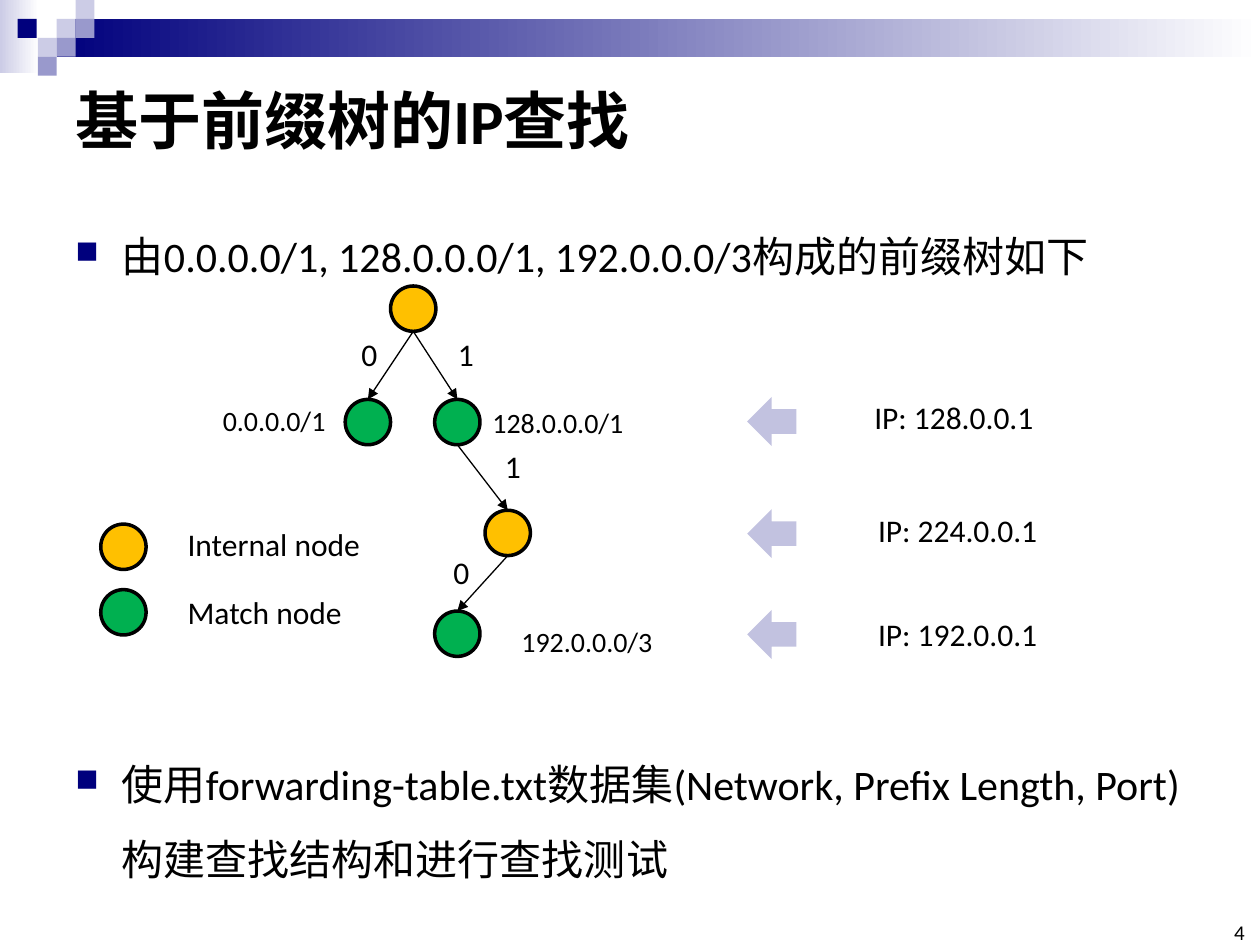
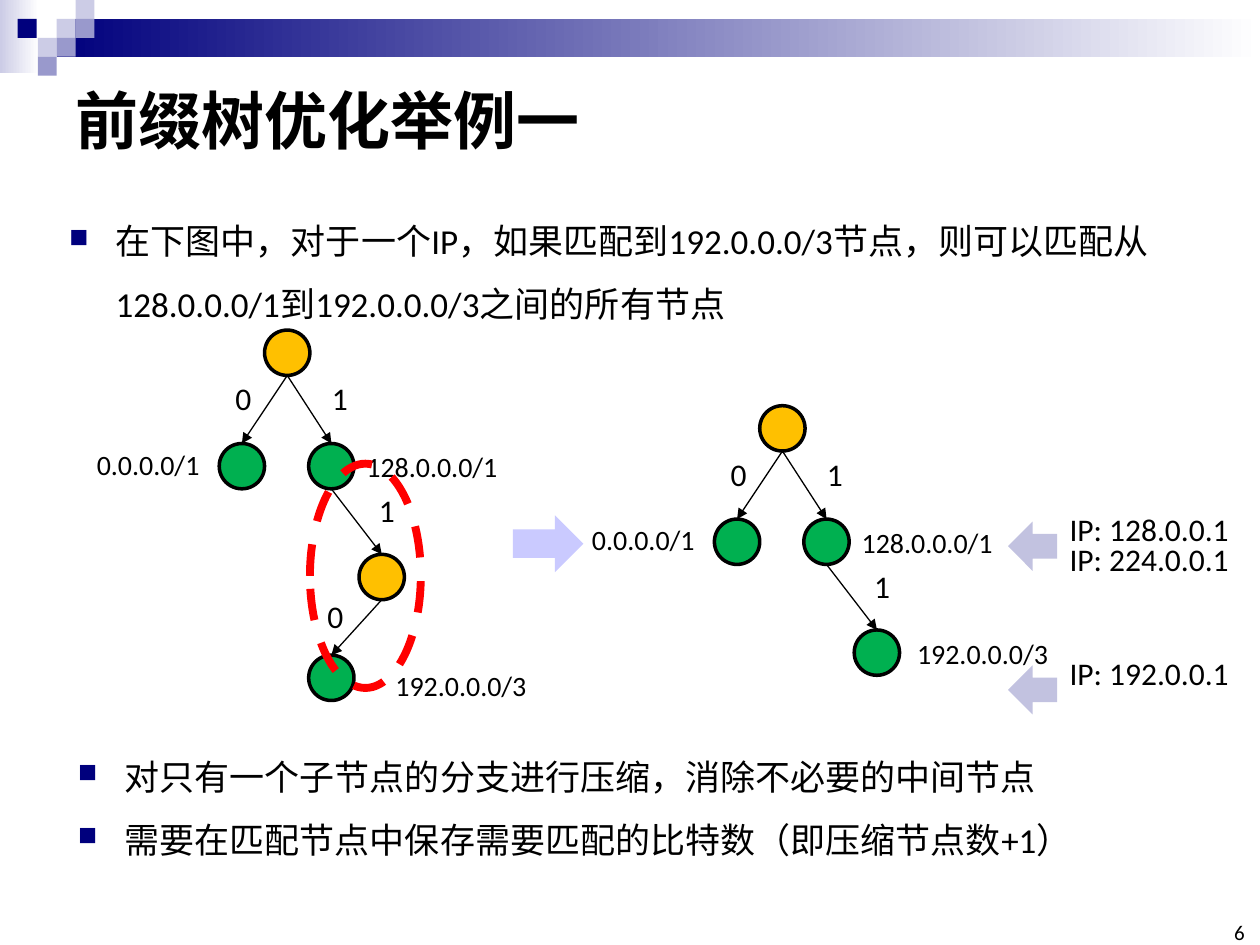
from dataclasses import dataclass
from lxml.etree import SubElement
from pptx import Presentation
from pptx.dml.color import RGBColor
from pptx.enum.dml import MSO_LINE
from pptx.enum.shapes import MSO_CONNECTOR, MSO_SHAPE
from pptx.enum.text import MSO_ANCHOR, MSO_AUTO_SIZE, PP_ALIGN
from pptx.oxml.ns import qn
from pptx.util import Inches, Pt


@dataclass(frozen=True)
class Theme:
    font: str = "Calibri"
    ink: str = "000000"
    navy: str = "00007D"
    lavender: str = "9999CC"
    mist: str = "CCCCE6"
    white: str = "FFFFFF"
    internal: str = "FFC000"
    match: str = "00B050"
    query: str = "C2C2E0"
    step: str = "CACAFF"
    highlight: str = "FF0000"
    title_size: int = 36
    label_size: int = 18
    prefix_size: int = 16
    number_size: int = 12


# Grid: 100 columns by 75 rows on a 10 by 7.5 inch slide
COLUMNS, ROWS = 100, 75
WIDTH, HEIGHT = Inches(10), Inches(7.5)
NODE = 3.6
TILE = 1.5


@dataclass(frozen=True)
class Node:
    """A tree node; offset is from the root, prefix_offset from the node."""
    offset: tuple
    kind: str
    parent: str = ""
    bit: str = ""
    prefix: str = ""
    prefix_offset: tuple = (0, 0)


BRANCHES = {
    "root": Node((0, 0), "internal"),
    "low": Node((-3.6, 9), "match", "root", "0", "0.0.0.0/1", (-10.7, -0.2)),
    "high": Node((3.5, 9), "match", "root", "1", "128.0.0.0/1", (3.6, 0)),
}
FULL_TREE = BRANCHES | {
    "middle": Node((7.5, 17.8), "internal", "high", "1"),
    "deep": Node((3.5, 25.8), "match", "middle", "0", "192.0.0.0/3", (5.9, 0.6)),
}
COMPRESSED_TREE = BRANCHES | {
    "deep": Node((7.5, 17.8), "match", "high", "1", "192.0.0.0/3", (4, 0)),
}


class Deck:
    def __init__(self, theme):
        self.theme = theme
        self.presentation = Presentation()
        self.presentation.slide_width = WIDTH
        self.presentation.slide_height = HEIGHT
        self.slide = None

    def cells(self, *lengths):
        """Turn alternating columns and rows into slide lengths."""
        units = (WIDTH / COLUMNS, HEIGHT / ROWS)
        return [round(length * units[i % 2]) for i, length in enumerate(lengths)]

    def shape(self, preset, *box, fill=None, line=None, weight=2, dash=None):
        figure = self.slide.shapes.add_shape(preset, *self.cells(*box))
        figure.shadow.inherit = False
        if isinstance(fill, tuple):
            figure.fill.gradient()
            figure.fill.gradient_angle = 0
            for stop, color, position in zip(figure.fill.gradient_stops, fill, (0, 1)):
                stop.color.rgb = RGBColor.from_string(color)
                stop.position = position
        elif fill:
            figure.fill.solid()
            figure.fill.fore_color.rgb = RGBColor.from_string(fill)
        else:
            figure.fill.background()
        if line:
            figure.line.color.rgb = RGBColor.from_string(line)
            figure.line.width = Pt(weight)
            figure.line.dash_style = dash
        else:
            figure.line.fill.background()

    def text(self, words, *box, size, bold=False, wrap=False):
        frame = self.slide.shapes.add_textbox(*self.cells(*box)).text_frame
        frame.text = words
        frame.word_wrap = wrap
        frame.auto_size = MSO_AUTO_SIZE.NONE if wrap else MSO_AUTO_SIZE.SHAPE_TO_FIT_TEXT
        for paragraph in frame.paragraphs:
            for run in paragraph.runs:
                run.font.name = self.theme.font
                run.font.size = Pt(size)
                run.font.bold = bold
                run.font.color.rgb = RGBColor.from_string(self.theme.ink)
                SubElement(run.font._element, qn("a:ea"), typeface=self.theme.font)
        return frame

    def bullets(self, words, *box, size):
        frame = self.text(words, *box, size=size, wrap=True)
        indent = Inches(0.37)
        for paragraph in frame.paragraphs:
            paragraph.line_spacing = 1.5
            properties = paragraph._p.get_or_add_pPr()
            properties.set("marL", str(indent))
            properties.set("indent", str(-indent))
            color = SubElement(properties, qn("a:buClr"))
            SubElement(color, qn("a:srgbClr"), val=self.theme.navy)
            SubElement(properties, qn("a:buSzPct"), val="75000")
            SubElement(properties, qn("a:buChar"), char="■")

    def arrow(self, *ends):
        link = self.slide.shapes.add_connector(MSO_CONNECTOR.STRAIGHT, *self.cells(*ends))
        link.line.color.rgb = RGBColor.from_string(self.theme.ink)
        link.line.width = Pt(0.75)
        SubElement(link.line._get_or_add_ln(), qn("a:tailEnd"), type="triangle")
        SubElement(link._element.spPr, qn("a:effectLst"))

    def node(self, left, top, kind):
        self.shape(MSO_SHAPE.OVAL, left, top, NODE, NODE,
                   fill=getattr(self.theme, kind), line=self.theme.ink)

    def label(self, words, left, top, width):
        self.text(words, left, top, width, 4, size=self.theme.label_size)

    def query_arrow(self, left, top):
        self.shape(MSO_SHAPE.LEFT_ARROW, left, top, 3.9, 3.9, fill=self.theme.query)

    def tree(self, left, top, nodes):
        spots = {name: (left + node.offset[0], top + node.offset[1])
                 for name, node in nodes.items()}
        for name, node in nodes.items():
            self.node(*spots[name], node.kind)
        for name, node in nodes.items():
            x, y = spots[name]
            if node.parent:
                parent_x, parent_y = spots[node.parent]
                start = (parent_x + NODE / 2, parent_y + NODE)
                end = (x + NODE / 2, y)
                self.arrow(*start, *end)
                # The bit sits beside the middle of its edge
                shift = -3.3 if node.bit == "0" else 0.8
                self.label(node.bit, (start[0] + end[0]) / 2 + shift,
                           (start[1] + end[1]) / 2 - 2.9, 3.3)
            if node.prefix:
                width = 10.3 if len(node.prefix) < 10 else 12.5
                self.text(node.prefix, x + node.prefix_offset[0], y + node.prefix_offset[1],
                          width, 3.7, size=self.theme.prefix_size)

    def start_slide(self, title, number):
        theme = self.theme
        self.slide = self.presentation.slides.add_slide(self.presentation.slide_layouts[6])
        # Header band and mosaic
        self.shape(MSO_SHAPE.RECTANGLE, 0, 0, 3.1, 5.8, fill=(theme.mist, theme.white))
        self.shape(MSO_SHAPE.RECTANGLE, 4.5, 1.5, 95.5, 3, fill=(theme.navy, theme.white))
        tiles = [(4.5, 1.5, theme.mist), (6, 0, theme.mist), (6, 1.5, theme.lavender),
                 (3, 3, theme.mist), (1.4, 1.5, theme.navy), (4.5, 3, theme.lavender),
                 (3, 4.5, theme.lavender)]
        for left, top, color in tiles:
            self.shape(MSO_SHAPE.RECTANGLE, left, top, TILE, TILE, fill=color)
        # Title and page number
        heading = self.text(title, 5, 5, 90, 8.9, size=theme.title_size, bold=True, wrap=True)
        heading.vertical_anchor = MSO_ANCHOR.MIDDLE
        page = self.text(number, 96.5, 73.3, 2.3, 1.7, size=theme.number_size, wrap=True)
        page.margin_left = page.margin_right = page.margin_top = page.margin_bottom = 0
        page.vertical_anchor = MSO_ANCHOR.BOTTOM
        page.paragraphs[0].alignment = PP_ALIGN.RIGHT


def lookup_slide(deck):
    deck.start_slide("基于前缀树的IP查找", "4")
    deck.bullets("由0.0.0.0/1, 128.0.0.0/1, 192.0.0.0/3构成的前缀树如下",
                 5, 15.8, 90, 7, size=24)
    deck.bullets("使用forwarding-table.txt数据集(Network, Prefix Length, Port)"
                 "构建查找结构和进行查找测试", 5, 57.7, 90, 13, size=24)
    deck.tree(31, 22.7, FULL_TREE)
    # Addresses looked up at each level
    queries = [("IP: 128.0.0.1", 68.4, 31.1, 31.5), ("IP: 224.0.0.1", 68.7, 40.1, 40.4),
               ("IP: 192.0.0.1", 68.7, 48.3, 48.4)]
    for address, left, top, arrow_top in queries:
        deck.query_arrow(59.3, arrow_top)
        deck.label(address, left, top, 14.8)
    # Legend
    legend = [("Internal node", "internal", 41.6, 41.2, 15.9),
              ("Match node", "match", 46.8, 46.6, 14.4)]
    for words, kind, node_top, top, width in legend:
        deck.node(8, node_top, kind)
        deck.label(words, 13.9, top, width)


def compression_slide(deck):
    theme = deck.theme
    deck.start_slide("前缀树优化举例一", "6")
    deck.bullets("在下图中，对于一个IP，如果匹配到192.0.0.0/3节点，则可以匹配"
                 "从128.0.0.0/1到192.0.0.0/3之间的所有节点", 4.5, 15.3, 90, 10.9, size=20)
    # Tree before and after compression
    deck.tree(21, 26.2, FULL_TREE)
    deck.shape(MSO_SHAPE.OVAL, 24.6, 36.8, 8.8, 17.8,
               line=theme.highlight, weight=4.5, dash=MSO_LINE.DASH)
    deck.shape(MSO_SHAPE.RIGHT_ARROW, 40.7, 40.9, 5.6, 4.5, fill=theme.step)
    deck.tree(60.3, 32.2, COMPRESSED_TREE)
    deck.bullets("对只有一个子节点的分支进行压缩，消除不必要的中间节点\n"
                 "需要在匹配节点中保存需要匹配的比特数（即压缩节点数+1）",
                 5.2, 57.8, 92.1, 10.9, size=20)
    # Addresses looked up in the compressed tree
    for arrow_top in (41.4, 52.8):
        deck.query_arrow(80, arrow_top)
    for address, top in (("IP: 128.0.0.1", 40), ("IP: 224.0.0.1", 42.4),
                         ("IP: 192.0.0.1", 51.4)):
        deck.label(address, 83.9, top, 14.8)


def main():
    deck = Deck(Theme())
    lookup_slide(deck)
    compression_slide(deck)
    deck.presentation.save("out.pptx")


if __name__ == "__main__":
    main()
